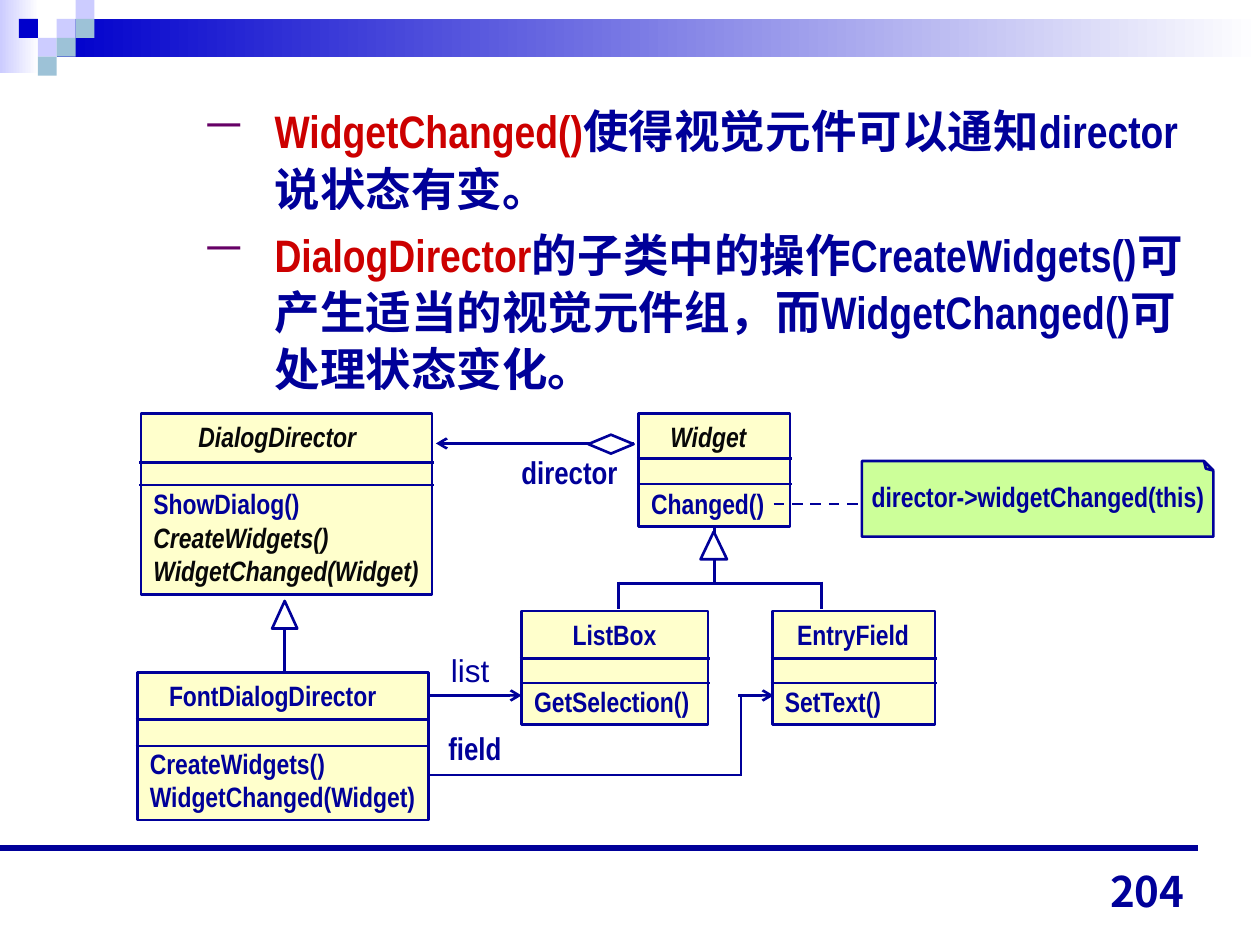
from lxml import etree
from pptx import Presentation
from pptx.dml.color import RGBColor
from pptx.enum.dml import MSO_LINE
from pptx.enum.shapes import MSO_CONNECTOR, MSO_SHAPE
from pptx.enum.text import MSO_ANCHOR, PP_ALIGN
from pptx.oxml.ns import qn
from pptx.util import Pt

NAVY = RGBColor(0x00, 0x00, 0x99)
BLUE = RGBColor(0x00, 0x00, 0xCC)
LILAC = RGBColor(0xCC, 0xCC, 0xFF)
TEAL = RGBColor(0x9D, 0xC2, 0xD7)
RED = RGBColor(0xCC, 0x00, 0x00)
INK = RGBColor(0x08, 0x08, 0x08)
CREAM = RGBColor(0xFF, 0xFF, 0xCC)
GREEN = RGBColor(0xCC, 0xFF, 0x99)
WHITE = RGBColor(0xFF, 0xFF, 0xFF)
PURPLE = RGBColor(0x66, 0x00, 0x66)

NARROW = "Arial Narrow"
RECT = MSO_SHAPE.RECTANGLE
TRIANGLE = MSO_SHAPE.ISOSCELES_TRIANGLE
DIAMOND = MSO_SHAPE.DIAMOND
NOTE = MSO_SHAPE.FOLDED_CORNER
STRAIGHT = MSO_CONNECTOR.STRAIGHT
DASH = MSO_LINE.DASH
TOP, BOTTOM = MSO_ANCHOR.TOP, MSO_ANCHOR.BOTTOM
LEFT, RIGHT = PP_ALIGN.LEFT, PP_ALIGN.RIGHT


def add_block(slide, kind, box, fill, outline=NAVY):
    block = slide.shapes.add_shape(kind, *map(Pt, box))
    block.shadow.inherit = False
    block.fill.solid()
    block.fill.fore_color.rgb = fill
    if outline is None:
        block.line.fill.background()
    else:
        block.line.color.rgb = outline
        block.line.width = Pt(1.5)
    return block


def add_fade(slide, box, color):
    band = add_block(slide, RECT, box, color, None)
    band.fill.gradient()
    band.fill.gradient_angle = 0
    for stop, stop_color in zip(band.fill.gradient_stops, (color, WHITE)):
        stop.color.rgb = stop_color


def add_line(slide, x1, y1, x2, y2, width=1.5, arrow=False, dashed=False):
    line = slide.shapes.add_connector(STRAIGHT, *map(Pt, (x1, y1, x2, y2)))
    line.line.color.rgb = NAVY
    line.line.width = Pt(width)
    if dashed:
        line.line.dash_style = DASH
    if arrow:
        outline = line._element.spPr.find(qn("a:ln"))
        etree.SubElement(outline, qn("a:tailEnd"), type="arrow")
    etree.SubElement(line._element.spPr, qn("a:effectLst"))


def prepare_frame(shape, anchor=TOP, right=0):
    frame = shape.text_frame
    frame.word_wrap = True
    frame.vertical_anchor = anchor
    frame.margin_left, frame.margin_right = Pt(7.2), Pt(right)
    frame.margin_top = frame.margin_bottom = Pt(3.6)
    return frame


def next_paragraph(frame, index):
    return frame.paragraphs[0] if index == 0 else frame.add_paragraph()


def add_run(paragraph, text, size, color=NAVY, font=NARROW, bold=True, italic=False):
    run = paragraph.add_run()
    run.text = text
    run.font.size = Pt(size)
    run.font.name = font
    run.font.bold = bold
    run.font.italic = italic
    run.font.color.rgb = color
    latin = run._r.rPr.find(qn("a:latin"))
    latin.addnext(etree.Element(qn("a:ea"), typeface=font))


def add_label(slide, box, text, size, font=NARROW, bold=True, align=LEFT, anchor=TOP, right=0):
    frame = prepare_frame(slide.shapes.add_textbox(*map(Pt, box)), anchor, right)
    frame.paragraphs[0].alignment = align
    add_run(frame.paragraphs[0], text, size, font=font, bold=bold)


def add_class(slide, box, dividers, title, indent, operations, abstract=()):
    """A class box: title, empty attribute row, operations; abstract names are italic."""
    left, _, width, _ = box
    frame = prepare_frame(add_block(slide, RECT, box, CREAM))
    for i, name in enumerate([title] + operations):
        paragraph = next_paragraph(frame, i)
        paragraph.alignment = LEFT
        if i == 0:
            paragraph._p.get_or_add_pPr().set("marL", str(Pt(indent)))
        elif i == 1:
            paragraph.space_before = Pt(19.1)
        italic = name in abstract
        add_run(paragraph, name, 16, INK if italic else NAVY, italic=italic)
    for y in dividers:
        add_line(slide, left - 1, y, left + width + 1, y)


def add_bullets(slide, box, items):
    frame = prepare_frame(slide.shapes.add_textbox(*map(Pt, box)), right=7.2)
    for i, runs in enumerate(items):
        paragraph = next_paragraph(frame, i)
        paragraph.line_spacing = 1.05
        if i:
            paragraph.space_before = Pt(4.9)
        properties = paragraph._p.get_or_add_pPr()
        properties.set("marL", str(Pt(113.8)))
        properties.set("indent", str(Pt(-41.8)))
        bullet_color = etree.SubElement(properties, qn("a:buClr"))
        etree.SubElement(bullet_color, qn("a:srgbClr"), val=str(PURPLE))
        etree.SubElement(properties, qn("a:buFont"), typeface=NARROW)
        etree.SubElement(properties, qn("a:buChar"), char="－")
        for text, color in runs:
            add_run(paragraph, text, 26, color)


def add_header(slide):
    add_fade(slide, (0, 0, 22.3, 41.8), LILAC)
    add_fade(slide, (32.4, 10.8, 687.6, 21.6), BLUE)
    side = 10.8
    for column, row, color in [(3, 1, LILAC), (4, 0, LILAC), (4, 1, TEAL), (2, 2, LILAC),
                               (1, 1, BLUE), (3, 2, TEAL), (2, 3, TEAL)]:
        add_block(slide, RECT, (column * side, row * side, side, side), color, None)


def add_note(slide, box):
    note = add_block(slide, NOTE, box, GREEN)
    note._element.spPr.xfrm.set("flipV", "1")
    guides = note._element.spPr.prstGeom.get_or_add_avLst()
    etree.SubElement(guides, qn("a:gd"), name="adj", fmla="val 12500")


def add_diagram(slide):
    # Director classes
    add_class(slide, (80.6, 236.2, 166.3, 103.7), (264.2, 277.2), "DialogDirector", 25.7,
              ["ShowDialog()", "CreateWidgets()", "WidgetChanged(Widget)"],
              ("DialogDirector", "CreateWidgets()", "WidgetChanged(Widget)"))
    add_line(slide, 162.7, 350, 162.7, 415.4)
    add_block(slide, TRIANGLE, (155.5, 343.4, 14.4, 15.8), WHITE)
    add_class(slide, (78.5, 384.5, 166.3, 84.2), (411.1, 426.2), "FontDialogDirector", 11,
              ["CreateWidgets()", "WidgetChanged(Widget)"])

    # Widget classes
    add_class(slide, (365, 236.2, 86.4, 64.8), (262.1, 276.5), "Widget", 11,
              ["Changed()"], ("Widget",))
    add_class(slide, (298.1, 349.2, 106.6, 64.8), (376.2, 390.2), "ListBox", 22,
              ["GetSelection()"])
    add_class(slide, (441.4, 349.2, 92.9, 64.8), (376.2, 390.2), "EntryField", 7,
              ["SetText()"])

    # Inheritance tree below Widget
    add_line(slide, 408.2, 301.7, 408.2, 333.4)
    add_block(slide, TRIANGLE, (400.3, 303.8, 15.1, 15.8), WHITE)
    add_line(slide, 353.5, 333.4, 469.4, 333.4)
    for x in (353.5, 469.4):
        add_line(slide, x, 332.4, x, 348)

    # Link from Widget to its director
    add_line(slide, 362.2, 253.4, 249.1, 253.4, arrow=True)
    add_block(slide, DIAMOND, (336.2, 248.4, 25.9, 10.8), WHITE)
    add_label(slide, (290.9, 255.6, 69.1, 28.8), "director", 18)

    # Links from FontDialogDirector to its widgets
    add_line(slide, 244.8, 397.4, 298.1, 397.4, arrow=True)
    add_label(slide, (250.6, 368.6, 36, 28.8), "list", 18, font="Arial", bold=False)
    add_line(slide, 245.5, 442.8, 423.4, 442.8)
    add_line(slide, 423.4, 443.5, 423.4, 397.4)
    add_line(slide, 422, 397.4, 442.1, 397.4, arrow=True)
    add_label(slide, (249.1, 413.3, 44.6, 28.8), "field", 18)

    # Note on Changed()
    add_note(slide, (492.5, 263.5, 200.9, 43.2))
    add_label(slide, (491, 270.7, 204.5, 26.6), "director->widgetChanged(this)", 16)
    add_line(slide, 442.1, 288, 491, 288, dashed=True)


def main():
    deck = Presentation()
    deck.slide_width, deck.slide_height = Pt(720), Pt(540)
    slide = deck.slides.add_slide(deck.slide_layouts[6])
    add_header(slide)
    add_bullets(slide, (36, 54, 650.2, 196.6), [
        [("WidgetChanged()", RED), ("使得视觉元件可以通知director说状态有变。", NAVY)],
        [("DialogDirector", RED),
         ("的子类中的操作CreateWidgets()可产生适当的视觉元件组，而WidgetChanged()可处理状态变化。",
          NAVY)],
    ])
    add_diagram(slide)
    # Footer
    add_line(slide, 0, 484.6, 684.7, 484.6, width=3.25)
    add_label(slide, (516.2, 491, 167.8, 36), "204", 24, font="Noto Sans CJK JP",
              align=RIGHT, anchor=BOTTOM, right=7.2)
    deck.save("out.pptx")


if __name__ == "__main__":
    main()
